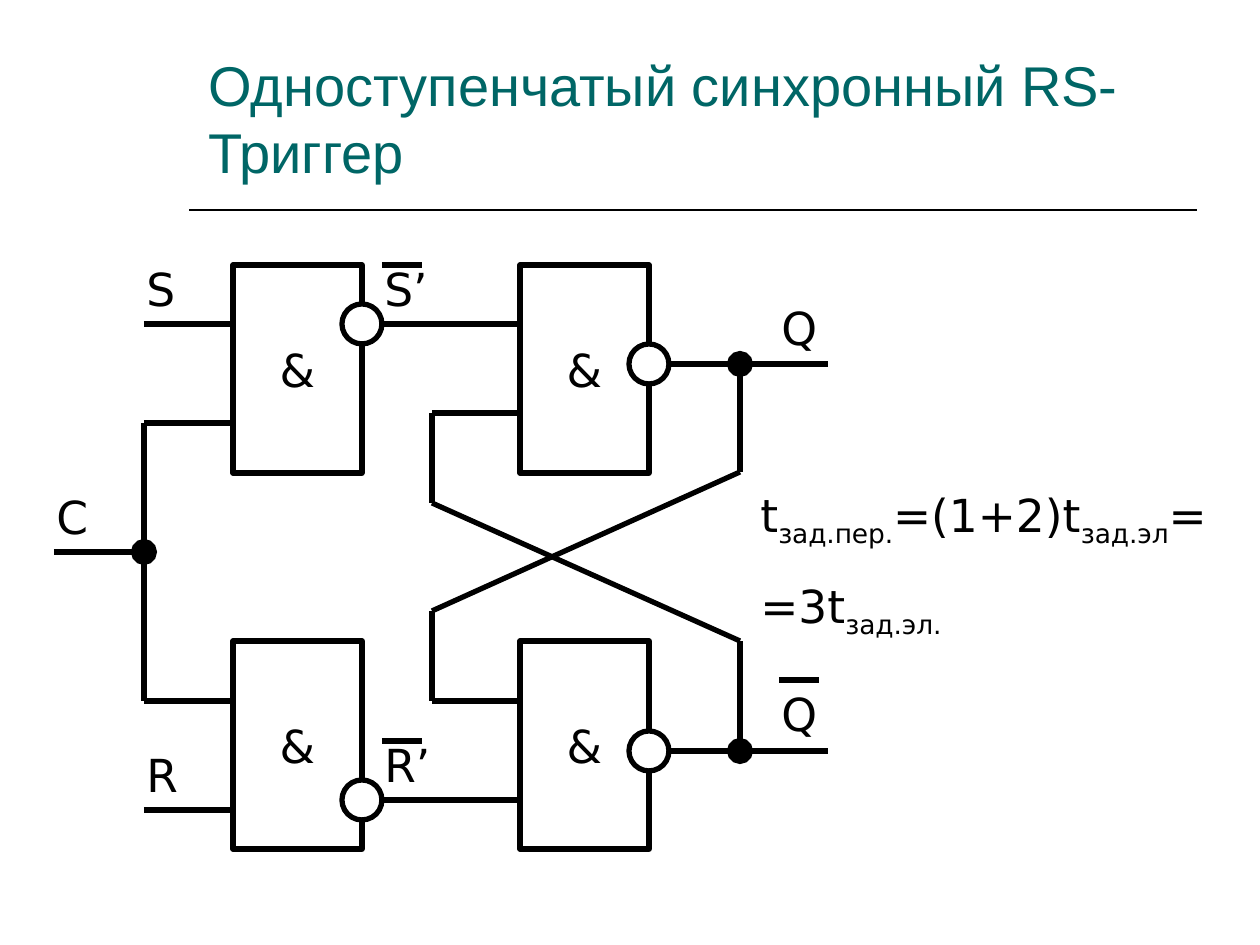
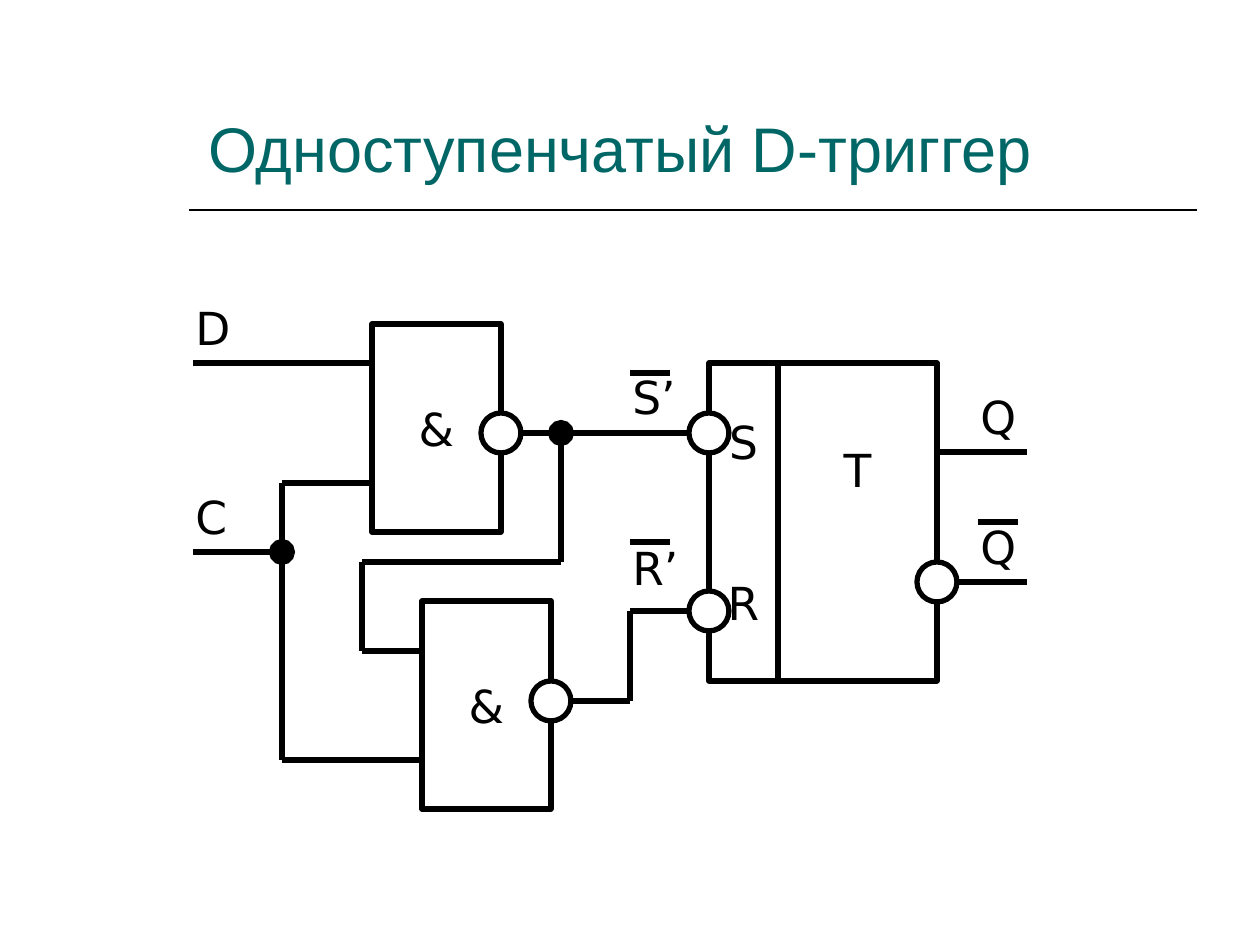
from dataclasses import dataclass
from itertools import pairwise
from typing import Any

from lxml import etree
from pptx import Presentation
from pptx import util as u
from pptx.dml.color import RGBColor
from pptx.enum import shapes, text
from pptx.oxml.ns import qn

PX = 914400 / 126
BLACK = RGBColor(0x00, 0x00, 0x00)
WHITE = RGBColor(0xFF, 0xFF, 0xFF)
TEAL = RGBColor(0x00, 0x66, 0x66)
TITLE_FONT, SYMBOL_FONT = "Arial", "DejaVu Sans"
SYMBOL_SIZE = 26
TWO_LINES = 60.5  # points taken by two lines of symbols

GATE_W, GATE_H = 129, 208
INVERTER = 40
LABEL_W, LABEL_H = 89, 68
BAR_W = 40


def px(*lengths):
    return [u.Emu(round(length * PX)) for length in lengths]


def style_text(paragraph, size=SYMBOL_SIZE, font=SYMBOL_FONT, color=BLACK):
    paragraph.font.size = u.Pt(size)
    paragraph.font.name = font
    paragraph.font.color.rgb = color


@dataclass
class Region:
    """Part of a slide; every position is measured from its top left corner."""
    slide: Any
    left: int = 0
    top: int = 0

    def place(self, x, y, *size):
        return px(self.left + x, self.top + y, *size)

    def line(self, start, end, width=3, dot=False):
        connector = self.slide.shapes.add_connector(
            shapes.MSO_CONNECTOR.STRAIGHT, *self.place(*start), *self.place(*end))
        connector.line.color.rgb = BLACK
        connector.line.width = u.Pt(width)
        properties = connector._element.spPr
        if dot:
            etree.SubElement(properties.find(qn("a:ln")), qn("a:headEnd"),
                             type="oval", w="lg", len="lg")
        etree.SubElement(properties, qn("a:effectLst"))

    def wire(self, *points, dot=False):
        """Joins the points in turn; dot marks a junction at the first."""
        for index, (start, end) in enumerate(pairwise(points)):
            self.line(start, end, dot=dot and index == 0)

    def outline(self, kind, x, y, width, height):
        shape = self.slide.shapes.add_shape(kind, *self.place(x, y, width, height))
        shape.shadow.inherit = False
        shape.fill.solid()
        shape.fill.fore_color.rgb = WHITE
        shape.line.color.rgb = BLACK
        shape.line.width = u.Pt(3)
        return shape

    def block(self, x, y, width, height, *symbols):
        """Rectangle with centred symbols, two lines apart."""
        frame = self.outline(shapes.MSO_SHAPE.RECTANGLE, x, y, width, height).text_frame
        frame.word_wrap = False
        frame.vertical_anchor = text.MSO_ANCHOR.MIDDLE
        for index, symbol in enumerate(symbols):
            paragraph = frame.add_paragraph() if index else frame.paragraphs[0]
            paragraph.text = symbol
            paragraph.alignment = text.PP_ALIGN.CENTER
            if index:
                paragraph.space_before = u.Pt(TWO_LINES)
            style_text(paragraph)
        return frame

    def inverter(self, x, y):
        self.outline(shapes.MSO_SHAPE.OVAL, x - INVERTER // 2, y - INVERTER // 2,
                     INVERTER, INVERTER)

    def nand_gate(self, x, y, output_drop):
        self.block(x, y, GATE_W, GATE_H, "&")
        self.inverter(x + GATE_W, y + output_drop)

    def text_frame(self, x, y, width, height):
        frame = self.slide.shapes.add_textbox(*self.place(x, y, width, height)).text_frame
        frame.word_wrap = True
        return frame

    def label(self, symbol, x, y, bar_drop=None):
        """Signal name, with a negation bar if bar_drop is given."""
        paragraph = self.text_frame(x, y, LABEL_W, LABEL_H).paragraphs[0]
        paragraph.text = symbol
        style_text(paragraph)
        if bar_drop is not None:
            bar_y = y + bar_drop
            self.line((x + 10, bar_y), (x + 10 + BAR_W, bar_y))


def add_titled_slide(deck, title, size):
    slide = deck.slides.add_slide(deck.slide_layouts[6])
    header = Region(slide, 189, 49)
    header.line((0, 161), (1008, 161), width=1)
    frame = header.text_frame(7, 0, 993, 142)
    frame.vertical_anchor = text.MSO_ANCHOR.BOTTOM
    frame.paragraphs[0].text = title
    style_text(frame.paragraphs[0], size, TITLE_FONT, TEAL)
    return slide


def add_delay_formula(region, x, y):
    """Each line alternates normal text and subscript."""
    lines = [("t", "зад.пер.", "=(1+2)t", "зад.эл", "="), ("=3t", "зад.эл.")]
    frame = region.text_frame(x, y, 512, 165)
    for row, parts in enumerate(lines):
        paragraph = frame.add_paragraph() if row else frame.paragraphs[0]
        if row:
            paragraph.space_before = u.Pt(16.2)
        style_text(paragraph)
        for index, part in enumerate(parts):
            run = paragraph.add_run()
            run.text = part
            if index % 2:
                run._r.get_or_add_rPr().set("baseline", "-25000")


def draw_rs_circuit(slide, left, top):
    circuit = Region(slide, left, top)
    input_x, output_x = 179, 466
    upper_y, lower_y = 0, 376
    clock_x, cross_x, feedback_x, end_x = 90, 378, 686, 774
    set_y, reset_y, clock_y = 59, 535, 287
    q_y, not_q_y = 99, 486
    lower_in_y = 436

    circuit.wire((clock_x, set_y), (input_x, set_y))
    circuit.wire((clock_x, 545), (input_x, 545))
    circuit.wire((0, clock_y), (clock_x, clock_y))
    for y in (158, lower_in_y):
        circuit.wire((clock_x, clock_y), (clock_x, y), (input_x, y), dot=y == 158)
    for y in (set_y, reset_y):
        circuit.wire((input_x + GATE_W, y), (output_x, y))
    for y in (q_y, not_q_y):
        circuit.wire((output_x + GATE_W, y), (end_x, y))
    circuit.wire((feedback_x, q_y), (feedback_x, 207), (cross_x, 346),
                 (cross_x, lower_in_y), (output_x, lower_in_y), dot=True)
    circuit.wire((feedback_x, not_q_y), (feedback_x, lower_y), (cross_x, 238),
                 (cross_x, 148), (output_x, 148), dot=True)

    circuit.nand_gate(input_x, upper_y, set_y)
    circuit.nand_gate(input_x, lower_y, reset_y - lower_y)
    circuit.nand_gate(output_x, upper_y, q_y)
    circuit.nand_gate(output_x, lower_y, not_q_y - lower_y)

    circuit.label("S", 80, -10)
    circuit.label("R", 80, 476)
    circuit.label("С", -10, 218)
    circuit.label("S’", 318, -10, bar_drop=10)
    circuit.label("R’", 318, 466, bar_drop=10)
    circuit.label("Q", 715, 29)
    circuit.label("Q", 715, 415, bar_drop=0)
    add_delay_formula(circuit, 694, 216)


def draw_trigger(slide, left, top):
    trigger = Region(slide, left, top)
    inputs_w, body_w, height = 69, 159, 318
    output_x = inputs_w + body_w
    for y in (89, 219):
        trigger.wire((output_x, y), (output_x + 90, y))
    trigger.block(0, 0, inputs_w, height, "S", "R")
    body = trigger.block(inputs_w, 0, body_w, height, "T")
    body.margin_bottom = u.Pt(TWO_LINES + 3.6)
    for x, y in ((0, 70), (0, 248), (output_x, 219)):
        trigger.inverter(x, y)
    trigger.label("Q", output_x + 31, 20)
    trigger.label("Q", output_x + 31, 150, bar_drop=9)


def draw_d_circuit(slide, left, top):
    circuit = Region(slide, left, top)
    upper_x, lower_x, lower_y = 179, 229, 277
    clock_x, clock_y = 89, 228
    set_y, reset_y = 109, 377
    trigger_x, trigger_y = 516, 39

    circuit.wire((0, 39), (upper_x, 39))
    circuit.wire((0, clock_y), (clock_x, clock_y))
    circuit.wire((clock_x, clock_y), (clock_x, 159), (upper_x, 159))
    circuit.wire((clock_x, clock_y), (clock_x, 436), (lower_x, 436), dot=True)
    circuit.wire((upper_x + GATE_W, set_y), (trigger_x, set_y))
    circuit.wire((368, set_y), (368, 238), (169, 238), (169, 327), (lower_x, 327),
                 dot=True)
    circuit.wire((lower_x + GATE_W, reset_y), (437, reset_y), (437, 287),
                 (trigger_x, 287))

    circuit.nand_gate(upper_x, 0, set_y)
    circuit.nand_gate(lower_x, lower_y, reset_y - lower_y)
    draw_trigger(slide, left + trigger_x, top + trigger_y)

    circuit.label("D", -10, -30)
    circuit.label("С", -10, 159)
    circuit.label("S’", 427, 39, bar_drop=10)
    circuit.label("R’", 427, 210, bar_drop=8)


def main():
    deck = Presentation()
    deck.slide_width, deck.slide_height = px(1260, 945)
    draw_rs_circuit(
        add_titled_slide(deck, "Одноступенчатый синхронный RS-Триггер", 32), 54, 265)
    draw_d_circuit(add_titled_slide(deck, "Одноступенчатый D-триггер", 36), 193, 324)
    deck.save("out.pptx")


if __name__ == "__main__":
    main()
